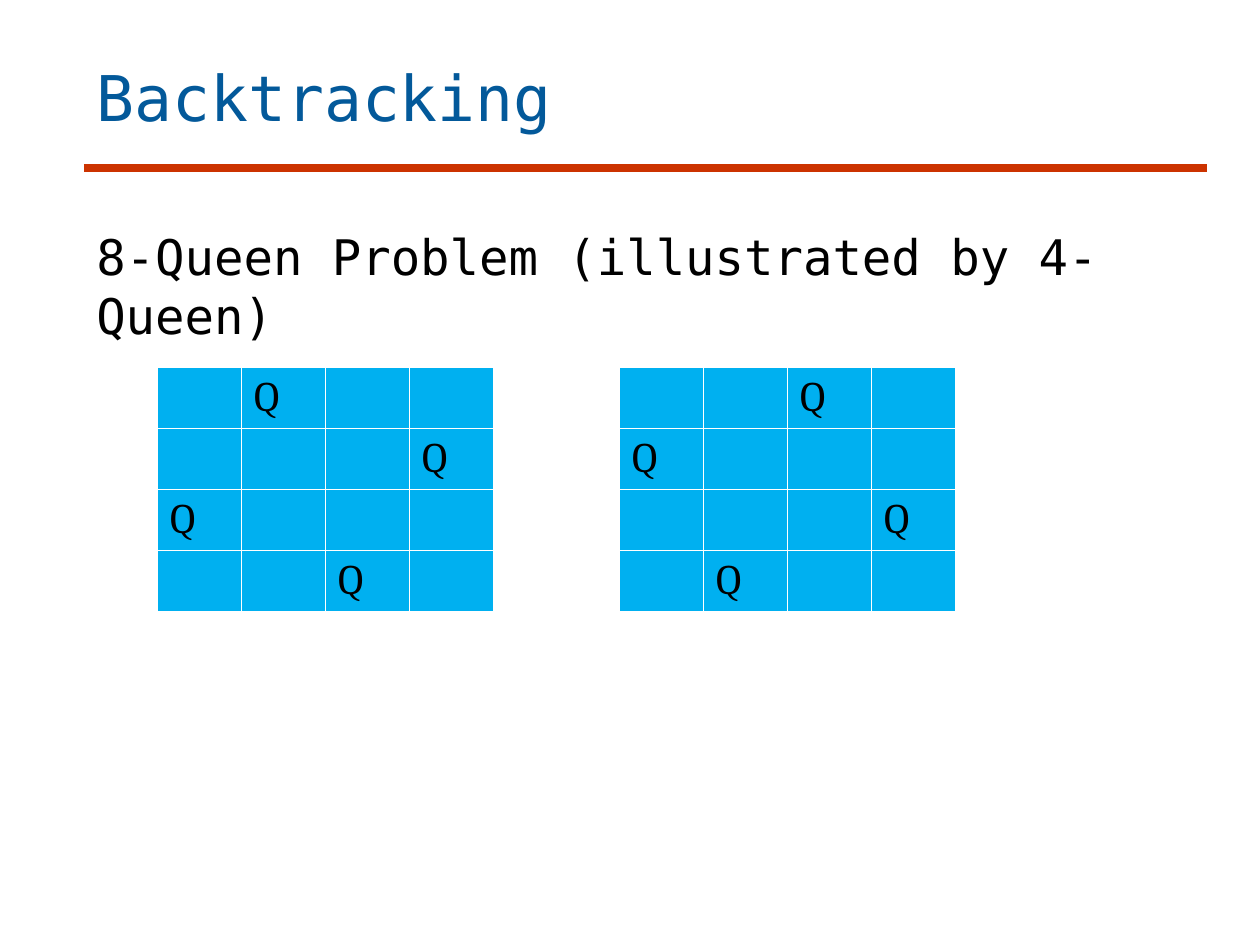
import pptx
import pptx.dml.color
import pptx.enum.shapes
import pptx.enum.text
import pptx.oxml
import pptx.oxml.ns
import pptx.util

UNITS_PER_INCH = 12
BOARD_SIZE = 4


def grid(*units):
    return [pptx.util.Inches(unit / UNITS_PER_INCH) for unit in units]


def color(value):
    return pptx.dml.color.RGBColor.from_string(value)


def write_text(text_frame, text, size, font, fill):
    paragraph = text_frame.paragraphs[0]
    paragraph.alignment = pptx.enum.text.PP_ALIGN.LEFT
    run = paragraph.add_run()
    run.text = text
    run.font.size = pptx.util.Pt(size)
    run.font.name = font
    run.font.bold = False
    run.font.color.rgb = color(fill)


class SlideBuilder:
    heading_font = "DejaVu Sans Mono"
    board_font = "Cambria"
    title_color = "03599A"
    rule_color = "CC3300"
    text_color = "000000"
    board_color = "00B0F0"
    border_color = "FFFFFF"

    def __init__(self, presentation):
        self.slide = presentation.slides.add_slide(presentation.slide_layouts[5])

    def fill_frame(self, shape, text, size, fill):
        text_frame = shape.text_frame
        text_frame.word_wrap = True
        text_frame.auto_size = pptx.enum.text.MSO_AUTO_SIZE.NONE
        text_frame.vertical_anchor = pptx.enum.text.MSO_ANCHOR.TOP
        write_text(text_frame, text, size=size, font=self.heading_font, fill=fill)

    def title(self, text, left, top, width, height):
        shape = self.slide.shapes.title
        shape.left, shape.top, shape.width, shape.height = grid(left, top, width, height)
        self.fill_frame(shape, text, 36, self.title_color)

    def body(self, text, left, top, width, height):
        shape = self.slide.shapes.add_textbox(*grid(left, top, width, height))
        self.fill_frame(shape, text, 28, self.text_color)

    def rule(self, left, top, width):
        connector = self.slide.shapes.add_connector(
            pptx.enum.shapes.MSO_CONNECTOR.STRAIGHT, *grid(left, top, left + width, top))
        connector.line.color.rgb = color(self.rule_color)
        connector.line.width = pptx.util.Pt(4.5)
        properties = connector._element.spPr
        properties.append(properties.makeelement(pptx.oxml.ns.qn("a:effectLst")))

    def border(self, cell):
        properties = cell._tc.get_or_add_tcPr()
        for side in "LRTB":
            properties.append(pptx.oxml.parse_xml(
                f'<a:ln{side} {pptx.oxml.ns.nsdecls("a")} w="{pptx.util.Pt(1)}">'
                f'<a:solidFill><a:srgbClr val="{self.border_color}"/></a:solidFill>'
                f'</a:ln{side}>'))

    def board(self, queen_columns, left, top, width, height):
        table = self.slide.shapes.add_table(
            BOARD_SIZE, BOARD_SIZE, *grid(left, top, width, height)).table
        table.first_row = False
        table.horz_banding = False
        for row, queen_column in enumerate(queen_columns):
            for column in range(BOARD_SIZE):
                cell = table.cell(row, column)
                self.border(cell)
                cell.fill.solid()
                cell.fill.fore_color.rgb = color(self.board_color)
                if column == queen_column:
                    write_text(cell.text_frame, "Q", size=24,
                               font=self.board_font, fill=self.text_color)


def main():
    presentation = pptx.Presentation()
    presentation.slide_width, presentation.slide_height = grid(120, 90)
    builder = SlideBuilder(presentation)
    builder.rule(8, 16, 107)
    builder.title("Backtracking", 8, 5, 107, 15)
    builder.body("8-Queen Problem (illustrated by 4-Queen)", 8, 21, 107, 60)
    for left, queen_columns in ((15, (1, 3, 0, 2)), (59, (2, 0, 3, 1))):
        builder.board(queen_columns, left, 35, 32, 21)
    presentation.save("out.pptx")


if __name__ == "__main__":
    main()
